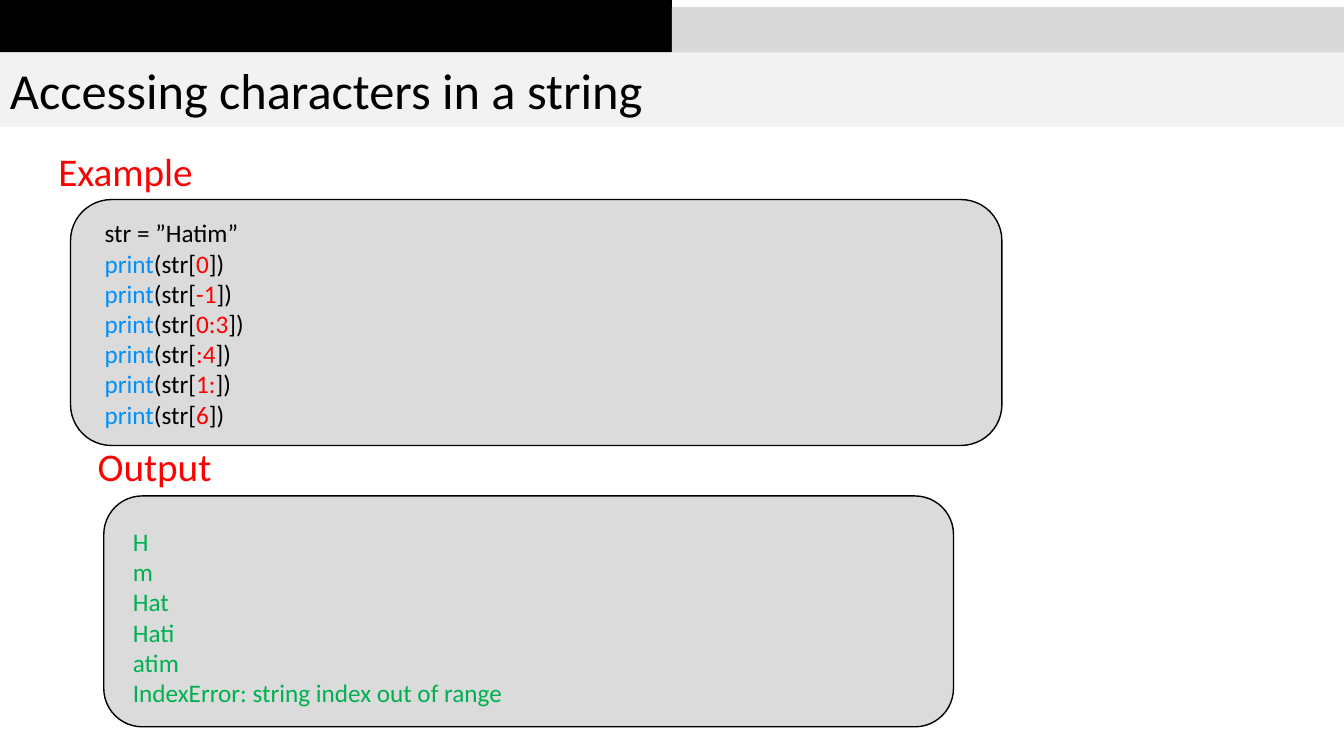
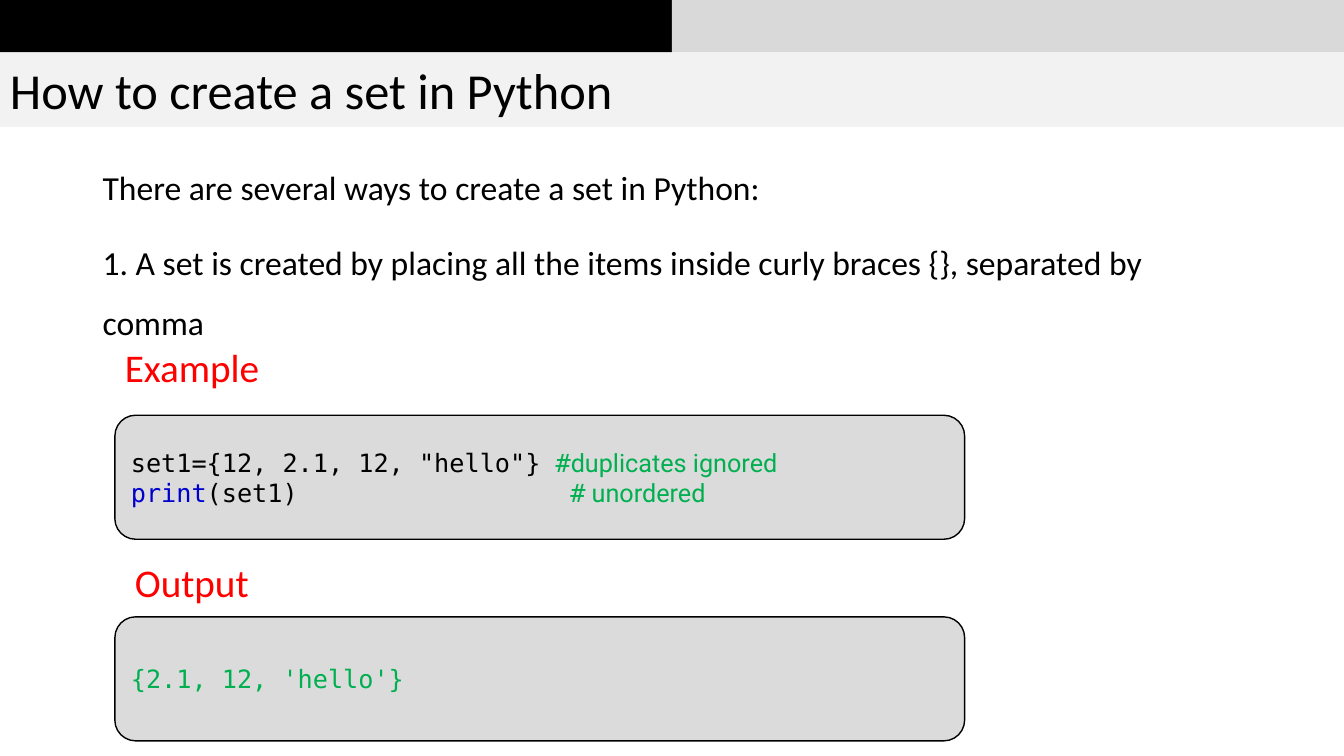
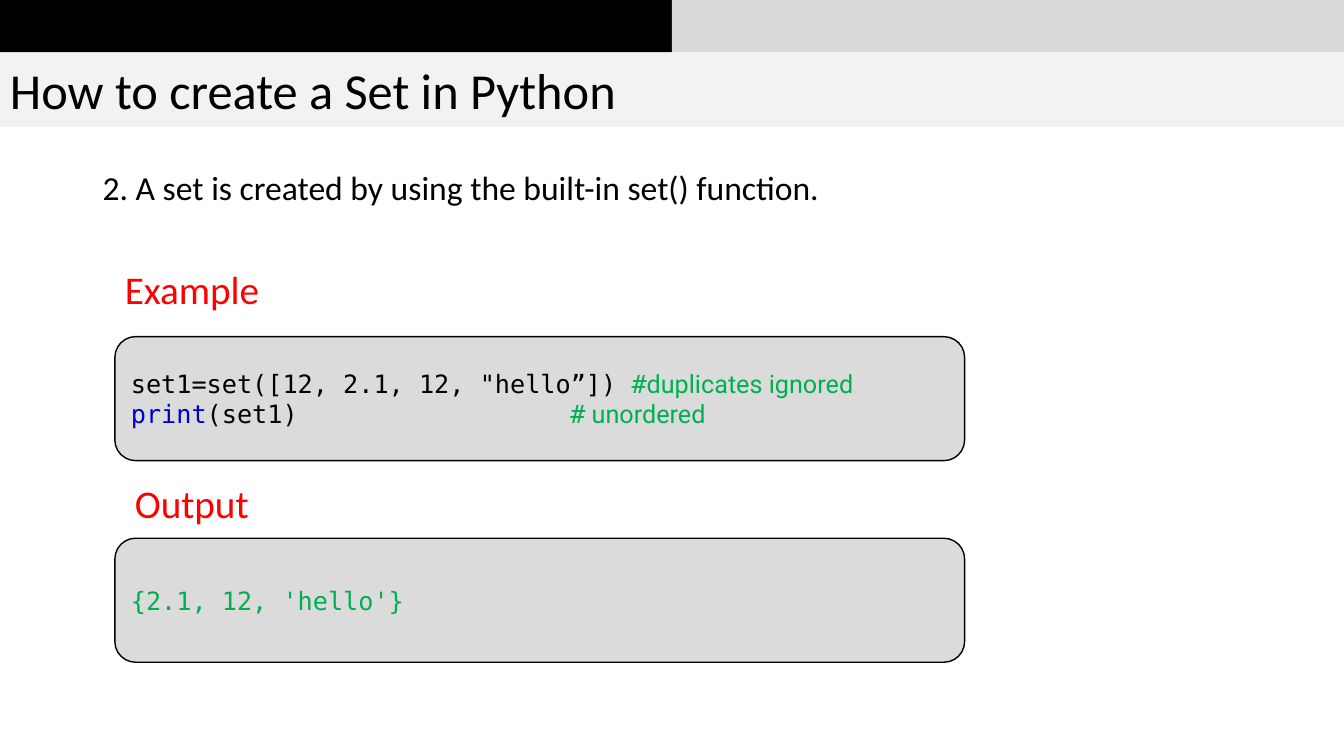
from dataclasses import dataclass
from typing import Optional

from lxml.etree import SubElement
from pptx import Presentation
from pptx.dml.color import RGBColor
from pptx.enum.shapes import MSO_SHAPE as Preset
from pptx.enum.text import MSO_ANCHOR as Anchor, MSO_AUTO_SIZE as AutoSize, PP_ALIGN as Align
from pptx.oxml.ns import qn
from pptx.util import Inches, Pt

CELL = 0.1
COLUMNS, ROWS = 400 / 3, 75
BAND_ROWS, TITLE_ROWS = 5.2, 7.4
PANEL_COLUMNS, PANEL_ROWS = 84.3, 12.3
LABEL_ROWS = 5.7

BLACK, RED, GREEN = "000000", "FF0000", "00B050"
SKY, NAVY = "0090FC", "0000CD"
BAND_GREY, TITLE_GREY, PANEL_GREY = "D9D9D9", "F2F2F2", "DBDBDB"
SANS, MONO, ROUND = "Calibri", "DejaVu Sans Mono", "Roboto"


@dataclass(frozen=True)
class Area:
    left: float
    top: float
    width: float
    height: float

    def lengths(self) -> list:
        return [cells(n) for n in (self.left, self.top, self.width, self.height)]


@dataclass(frozen=True)
class Span:
    text: str
    color: str = BLACK
    size: float = 18
    font: str = SANS


@dataclass(frozen=True)
class Para:
    spans: tuple
    tab: Optional[float] = None
    formats: tuple = ()


def cells(count: float) -> int:
    return Inches(count * CELL)


def rgb(color: str) -> RGBColor:
    return RGBColor.from_string(color)


def set_formats(target, formats: dict) -> None:
    for name, value in formats.items():
        setattr(target, name, value)


def write(frame, paras: list, **formats) -> None:
    set_formats(frame, {"word_wrap": True, **formats})
    for index, para in enumerate(paras):
        line = frame.add_paragraph() if index else frame.paragraphs[0]
        if para.tab is not None:
            tabs = SubElement(line._p.get_or_add_pPr(), qn("a:tabLst"))
            SubElement(tabs, qn("a:tab"), pos=str(cells(para.tab)), algn="l")
        set_formats(line, {"alignment": Align.LEFT, **dict(para.formats)})
        for span in para.spans:
            run = line.add_run()
            run.text = span.text
            set_formats(run.font, {"name": span.font, "size": Pt(span.size)})
            run.font.color.rgb = rgb(span.color)


def add_block(page, area: Area, fill: str, preset=Preset.RECTANGLE, outlined: bool = False):
    shape = page.shapes.add_shape(preset, *area.lengths())
    shape.shadow.inherit = False
    shape.fill.solid()
    shape.fill.fore_color.rgb = rgb(fill)
    if outlined:
        shape.line.color.rgb = rgb(BLACK)
        shape.line.width = Pt(1)
    else:
        shape.line.fill.background()
    return shape


def add_panel(page, area: Area, paras: Optional[list] = None) -> None:
    panel = add_block(page, area, PANEL_GREY, Preset.ROUNDED_RECTANGLE, True)
    if paras:
        write(panel.text_frame, paras, vertical_anchor=Anchor.MIDDLE)


def add_text(page, area: Area, paras: list, **formats) -> None:
    box = page.shapes.add_textbox(*area.lengths())
    write(box.text_frame, paras, **formats)


def add_label(page, text: str, left: float, top: float, width: float) -> None:
    add_text(page, Area(left, top, width, LABEL_ROWS), [Para((Span(text, RED, 28),))],
             word_wrap=False, auto_size=AutoSize.SHAPE_TO_FIT_TEXT)


def add_page(deck, title: str, grey_top: float = 0):
    page = deck.slides.add_slide(deck.slide_layouts[6])
    half = COLUMNS / 2
    add_block(page, Area(0, 0, half, BAND_ROWS), BLACK)
    add_block(page, Area(half, grey_top, half, BAND_ROWS), BAND_GREY)
    bar = add_block(page, Area(0, BAND_ROWS, COLUMNS, TITLE_ROWS), TITLE_GREY)
    write(bar.text_frame, [Para((Span(title, size=36),))], vertical_anchor=Anchor.MIDDLE)
    return page


def print_index(index: str) -> Para:
    return Para((Span("print", SKY), Span("(str["), Span(index, RED), Span("])")))


def add_string_page(deck) -> None:
    page = add_page(deck, "Accessing characters in a string", 0.7)
    add_panel(page, Area(7, 19.8, 92.4, 24.4))
    add_label(page, "Example", 4.8, 14.1, 16.4)
    add_panel(page, Area(10.3, 49.2, PANEL_COLUMNS, 22.9))
    add_label(page, "Output", 8.7, 43.4, 13.4)
    code = [Para((Span("str = ”Hatim”"),))]
    code += [print_index(index) for index in ("0", "-1", "0:3", ":4", "1:", "6")]
    add_text(page, Area(9.4, 21.1, 50.7, 22.3), code)
    results = ("H", "m", "Hat", "Hati", "atim", "IndexError: string index out of range")
    add_text(page, Area(12.2, 51.7, 48.8, 19.2),
             [Para((Span(result, GREEN),)) for result in results])


def add_set_page(deck, title: str, intro: list, statement: str, top: float) -> None:
    page = add_page(deck, title)
    paras = [Para((Span(text, size=24),),
                  formats=(("line_spacing", 1.5), ("space_before", Pt(10 if index else 0))))
             for index, text in enumerate(intro)]
    add_text(page, Area(9.2, 14.1, 115, 50.6), paras)

    code = [
        Para((Span(statement + " ", font=MONO), Span("#", GREEN, font=MONO),
              Span("duplicates ignored", GREEN, font=ROUND))),
        Para((Span("print", NAVY, font=MONO), Span("(set1)\t", font=MONO),
              Span("#", GREEN, font=MONO), Span(" unordered", GREEN, font=ROUND)), tab=43.6),
    ]
    result = [Para((Span("{2.1, 12, 'hello'}", GREEN, font=MONO),))]
    left = 11.4
    add_panel(page, Area(left, top + 7.6, PANEL_COLUMNS, PANEL_ROWS), code)
    add_label(page, "Example", left, top, 16.4)
    add_panel(page, Area(left, top + 27.6, PANEL_COLUMNS, PANEL_ROWS), result)
    add_label(page, "Output", left + 1, top + 21.3, 13.4)


def main() -> None:
    deck = Presentation()
    set_formats(deck, {"slide_width": cells(COLUMNS), "slide_height": cells(ROWS)})
    add_string_page(deck)
    add_set_page(
        deck, "How to create a set in Python",
        ["There are several ways to create a set in Python:",
         "1. A set is created by placing all the items inside curly braces {}, separated by comma"],
        'set1={12, 2.1, 12, "hello"}', 33.6)
    add_set_page(
        deck, "How to create a Set in Python",
        ["2. A set is created by using the built-in set() function."],
        'set1=set([12, 2.1, 12, "hello”])', 25.8)
    deck.save("out.pptx")


if __name__ == "__main__":
    main()
